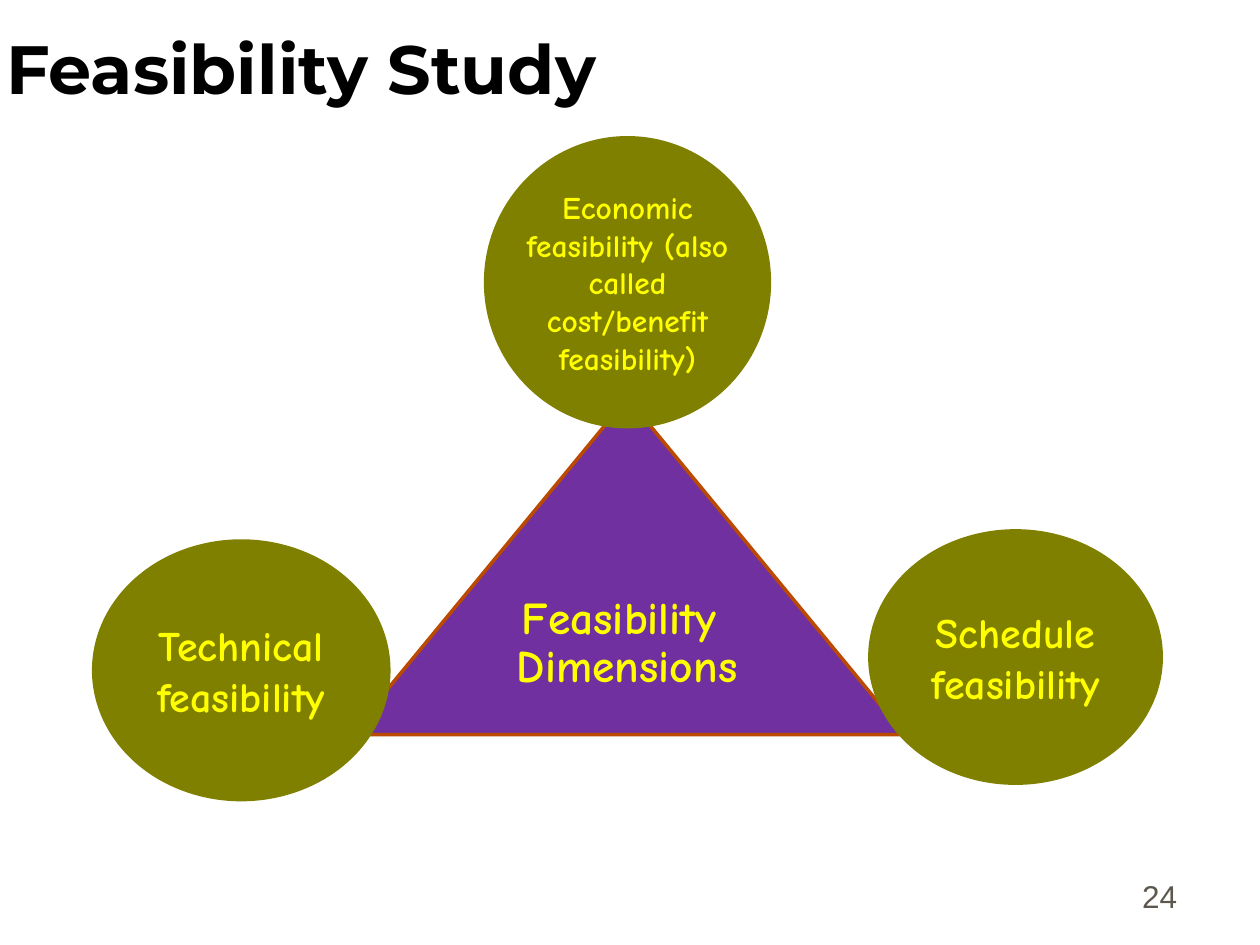
from pptx import Presentation
from pptx import util as u
from pptx.dml.color import RGBColor
from pptx.enum import shapes, text

WIDTH, HEIGHT = u.Inches(10), u.Inches(7.5)
COLUMNS, ROWS = 100, 75  # grid units of a tenth of an inch

BLACK = RGBColor(0x00, 0x00, 0x00)
YELLOW = RGBColor(0xFF, 0xFF, 0x00)
OLIVE = RGBColor(0x80, 0x80, 0x00)
PURPLE = RGBColor(0x70, 0x30, 0xA0)
RUST = RGBColor(0xBC, 0x49, 0x00)
TAUPE = RGBColor(0x5E, 0x57, 0x4E)

LABEL_FONT = "Comic Neue"
DIMENSIONS = [  # wording, size, (left, top, columns, rows)
    ("Schedule feasibility", 24, (68.9, 42, 23.4, 20.3)),
    ("Technical feasibility", 24, (7.3, 42.8, 23.7, 20.8)),
    ("Economic feasibility (also called cost/benefit feasibility)", 18,
     (38.4, 10.8, 22.8, 23.2)),
]


def place(left, top, columns, rows):
    """Turn grid units into left, top, width and height."""
    return (round(left * WIDTH / COLUMNS), round(top * HEIGHT / ROWS),
            round(columns * WIDTH / COLUMNS), round(rows * HEIGHT / ROWS))


def write(paragraph, wording, font, size, color, align, bold=True):
    paragraph.alignment = align
    run = paragraph.add_run()
    run.text = wording
    run.font.name = font
    run.font.size = u.Pt(size)
    run.font.bold = bold
    run.font.color.rgb = color


def add_figure(slide, preset, area, fill):
    figure = slide.shapes.add_shape(preset, *place(*area))
    figure.shadow.inherit = False
    figure.fill.solid()
    figure.fill.fore_color.rgb = fill
    figure.text_frame.word_wrap = True
    figure.text_frame.vertical_anchor = text.MSO_ANCHOR.MIDDLE
    return figure


def add_title(slide, wording):
    title = slide.shapes.title
    title.left, title.top, title.width, title.height = place(-0.5, -0.4, 65.8, 11.5)
    frame = title.text_frame
    frame.auto_size = text.MSO_AUTO_SIZE.NONE
    frame.vertical_anchor = text.MSO_ANCHOR.MIDDLE
    write(frame.paragraphs[0], wording, "Montserrat", 39, BLACK, text.PP_ALIGN.LEFT)


def add_triangle(slide, lines):
    """Draw the central triangle; lines pairs each wording with its space after."""
    triangle = add_figure(slide, shapes.MSO_SHAPE.ISOSCELES_TRIANGLE,
                          (27.8, 31.6, 44, 26.7), PURPLE)
    triangle.line.color.rgb = RUST
    triangle.line.width = u.Pt(2)
    frame = triangle.text_frame
    for index, (wording, space_after) in enumerate(lines):
        paragraph = frame.add_paragraph() if index else frame.paragraphs[0]
        paragraph.line_spacing = 0.5
        paragraph.space_after = u.Pt(space_after)
        write(paragraph, wording, LABEL_FONT, 26, YELLOW, text.PP_ALIGN.CENTER)


def add_dimension(slide, wording, size, area):
    circle = add_figure(slide, shapes.MSO_SHAPE.OVAL, area, OLIVE)
    circle.line.fill.background()
    frame = circle.text_frame
    frame.margin_left = frame.margin_right = 0
    frame.margin_top = frame.margin_bottom = 0
    write(frame.paragraphs[0], wording, LABEL_FONT, size, YELLOW, text.PP_ALIGN.CENTER)


def add_page_number(slide, number):
    frame = slide.shapes.add_textbox(*place(73.6, 68.1, 20.8, 5)).text_frame
    frame.word_wrap = True
    frame.vertical_anchor = text.MSO_ANCHOR.BOTTOM
    write(frame.paragraphs[0], number, "Arial", 18, TAUPE, text.PP_ALIGN.RIGHT,
          bold=False)


def main():
    deck = Presentation()
    deck.slide_width, deck.slide_height = WIDTH, HEIGHT
    slide = deck.slides.add_slide(deck.slide_layouts.get_by_name("Title Only"))
    add_title(slide, "Feasibility Study")
    add_triangle(slide, [("Feasibility ", 12), ("Dimensions", 36)])
    for wording, size, area in DIMENSIONS:
        add_dimension(slide, wording, size, area)
    add_page_number(slide, "24")
    deck.save("out.pptx")


if __name__ == "__main__":
    main()
